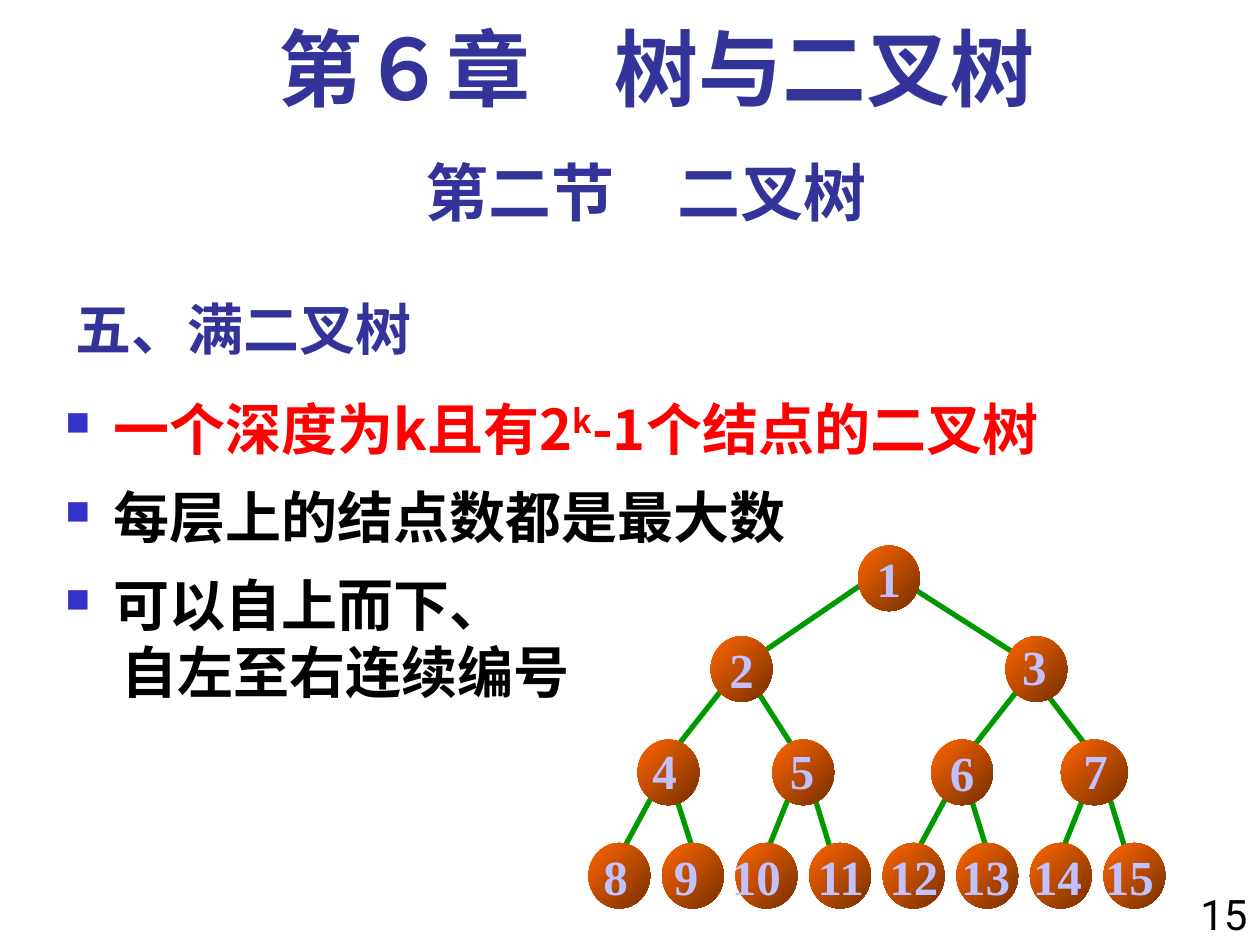
"""Build a slide on full binary trees with a numbered fifteen-node tree."""
from lxml import etree
from pptx import Presentation
from pptx.dml.color import RGBColor
from pptx.enum.shapes import MSO_CONNECTOR as CONN, MSO_SHAPE as SHAPE
from pptx.enum.text import MSO_ANCHOR as ANCHOR, PP_ALIGN as ALIGN
from pptx.oxml.ns import qn
from pptx.util import Inches, Pt

NAVY = RGBColor(0x33, 0x33, 0x99)
BLUE = RGBColor(0x33, 0x33, 0xCC)
RED = RGBColor(0xFF, 0x00, 0x00)
BLACK = RGBColor(0x00, 0x00, 0x00)
GREEN = RGBColor(0x00, 0x99, 0x00)
ORANGE = RGBColor(0xFF, 0x66, 0x00)
BROWN = RGBColor(0x76, 0x2F, 0x00)
LILAC = RGBColor(0xC1, 0xC1, 0xFF)
CJK, SANS, SERIF = "Noto Sans CJK SC", "Roboto", "Times New Roman"

BODY = [
    (True, RED, [("一个深度为k且有2", 0), ("k", 30), ("-1个结点的二叉树", 0)]),
    (True, BLACK, [("每层上的结点数都是最大数", 0)]),
    (True, BLACK, [("可以自上而下、", 0)]),
    (False, BLACK, [("　自左至右连续编号", 0)]),
]
EDGES = [
    (7.2, 4.64, 8.17, 5.26), (6.94, 4.57, 5.93, 5.26),
    (8.27, 5.46, 8.66, 5.97), (8.17, 5.36, 7.69, 5.97),
    (5.93, 5.36, 6.32, 5.97), (5.74, 5.46, 5.25, 6.08),
    (8.76, 6.18, 8.95, 6.8), (8.66, 6.18, 8.37, 6.9),
    (7.69, 6.28, 7.88, 6.9), (7.59, 6.18, 7.2, 6.9),
    (6.42, 6.18, 6.61, 6.8), (6.32, 6.18, 6.03, 6.9),
    (5.35, 6.28, 5.55, 6.9), (5.25, 6.18, 4.86, 6.9),
]
LEAF_LEFT, LEAF_STEP = 4.67, 0.584
LEVELS = [
    (4.33, [6.81]),
    (5.05, [5.64, 7.98]),
    (5.87, [5.06, 6.13, 7.39, 8.42]),
    (6.69, [LEAF_LEFT + LEAF_STEP * i for i in range(8)]),
]
LABELS = {
    3: (8, 5, 0.42), 4: (5.08, 5.83, 0.4), 5: (6.17, 5.83, 0.4),
    7: (8.5, 5.83, 0.4), 8: (4.69, 6.67, 0.39), 9: (5.25, 6.67, 0.39),
    10: (5.71, 6.67, 0.59), 11: (6.39, 6.67, 0.59), 12: (6.96, 6.67, 0.59),
    13: (7.53, 6.67, 0.59), 14: (8.1, 6.67, 0.59), 15: (8.67, 6.67, 0.59),
}


class Deck:
    """Hold the style and the current slide."""

    def __init__(self, prs):
        self.slide = prs.slides.add_slide(prs.slide_layouts[6])
        self.shapes = self.slide.shapes

    def run(self, p, text, size, font, color, bold=True, base=0):
        r = p.add_run()
        r.text = text
        r.font.size, r.font.name, r.font.bold = Pt(size), font, bold
        r.font.color.rgb = color
        rPr = r.font._element
        etree.SubElement(rPr, qn("a:ea"), typeface=CJK)
        if base:
            rPr.set("baseline", str(base * 1000))

    def frame(self, x, y, w, h, anchor=ANCHOR.TOP, wrap=True):
        sp = self.shapes.add_textbox(Inches(x), Inches(y), Inches(w), Inches(h))
        tf = sp.text_frame
        tf.word_wrap, tf.vertical_anchor = wrap, anchor
        return tf

    def text(self, box, text, size, font, color, align=ALIGN.LEFT,
             bold=True, anchor=ANCHOR.TOP, wrap=True, spacing=None):
        p = self.frame(*box, anchor=anchor, wrap=wrap).paragraphs[0]
        p.alignment, p.line_spacing = align, spacing
        self.run(p, text, size, font, color, bold)

    def bullet(self, p):
        pPr = p._p.get_or_add_pPr()
        color = etree.SubElement(pPr, qn("a:buClr"))
        etree.SubElement(color, qn("a:srgbClr"), val=str(BLUE))
        etree.SubElement(pPr, qn("a:buSzPct"), val="60000")
        etree.SubElement(pPr, qn("a:buChar"), char="■")

    def body(self, box, items):
        tf = self.frame(*box)
        for i, (bulleted, color, runs) in enumerate(items):
            p = tf.add_paragraph() if i else tf.paragraphs[0]
            pPr = p._p.get_or_add_pPr()
            pPr.set("marL", str(Inches(0.38)))
            pPr.set("indent", str(Inches(-0.38)))
            if bulleted:
                p.space_before = Pt(12 if i else 0)
                self.bullet(p)
            for text, base in runs:
                self.run(p, text, 32, CJK, color, base=base)

    def edge(self, x1, y1, x2, y2):
        ln = self.shapes.add_connector(
            CONN.STRAIGHT, Inches(x1), Inches(y1), Inches(x2), Inches(y2))
        ln.line.color.rgb, ln.line.width = GREEN, Pt(3)
        etree.SubElement(ln._element.spPr, qn("a:effectLst"))

    def node(self, number, x, y):
        width = 0.53 if number == 7 else 0.49
        sp = self.shapes.add_shape(
            SHAPE.OVAL, Inches(x), Inches(y), Inches(width), Inches(0.52))
        sp.shadow.inherit = False
        sp.line.fill.background()
        sp.fill.gradient()
        sp.fill.gradient_angle = 315
        for stop, position, color in zip(
                sp.fill.gradient_stops, (0, 1), (ORANGE, BROWN)):
            stop.position, stop.color.rgb = position, color
        if number not in LABELS:
            tf = sp.text_frame
            tf.word_wrap, tf.vertical_anchor = False, ANCHOR.MIDDLE
            p = tf.paragraphs[0]
            p.alignment = ALIGN.CENTER
            self.run(p, str(number), 28, SERIF, LILAC)

    def label(self, number, x, y, w):
        align = ALIGN.CENTER if number == 3 else ALIGN.LEFT
        self.text((x, y, w, 0.57), str(number), 28, SERIF, LILAC,
                  align, wrap=number < 8)


def main():
    prs = Presentation()
    prs.slide_width, prs.slide_height = Inches(10), Inches(7.5)
    deck = Deck(prs)
    deck.text((0.5, 2.17, 6.25, 0.75), "五、满二叉树", 32, CJK, NAVY,
              anchor=ANCHOR.BOTTOM)
    deck.text((9.33, 7, 0.67, 0.59), "15", 24, SANS, BLACK, ALIGN.RIGHT,
              bold=False)
    deck.text((0.5, 1.17, 9.25, 0.7), "第二节　二叉树", 36, SANS, NAVY,
              ALIGN.CENTER)
    deck.body((0.42, 3.08, 9.58, 4.42), BODY)
    deck.text((0.67, 0.17, 9.08, 0.83), "第６章　树与二叉树", 48, SERIF, NAVY,
              ALIGN.CENTER, spacing=0.9)
    for edge in EDGES:
        deck.edge(*edge)
    for depth, (top, lefts) in enumerate(LEVELS):
        for i, left in enumerate(lefts):
            deck.node(2 ** depth + i, left, top)
    for number, place in LABELS.items():
        deck.label(number, *place)
    prs.save("out.pptx")


if __name__ == "__main__":
    main()
